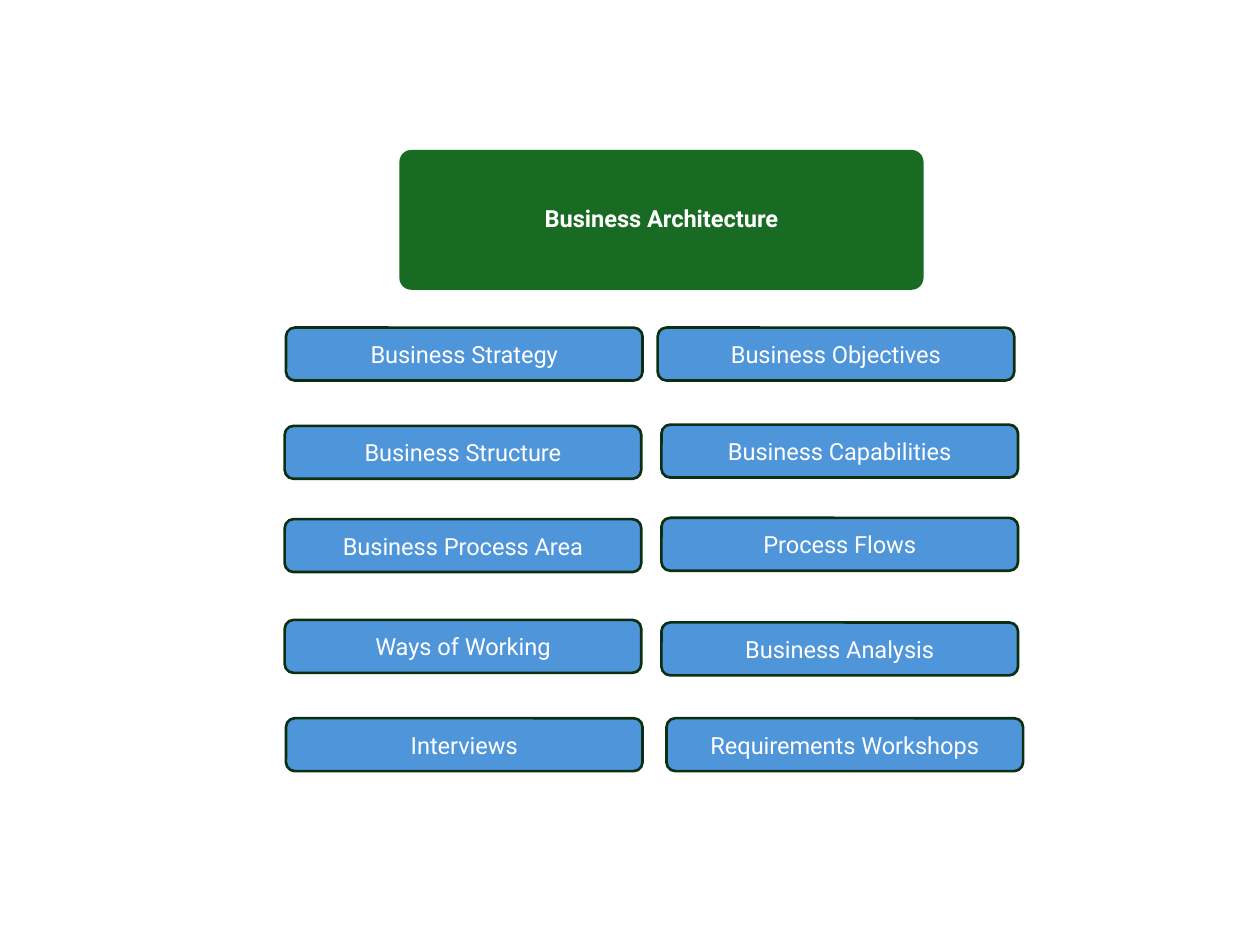
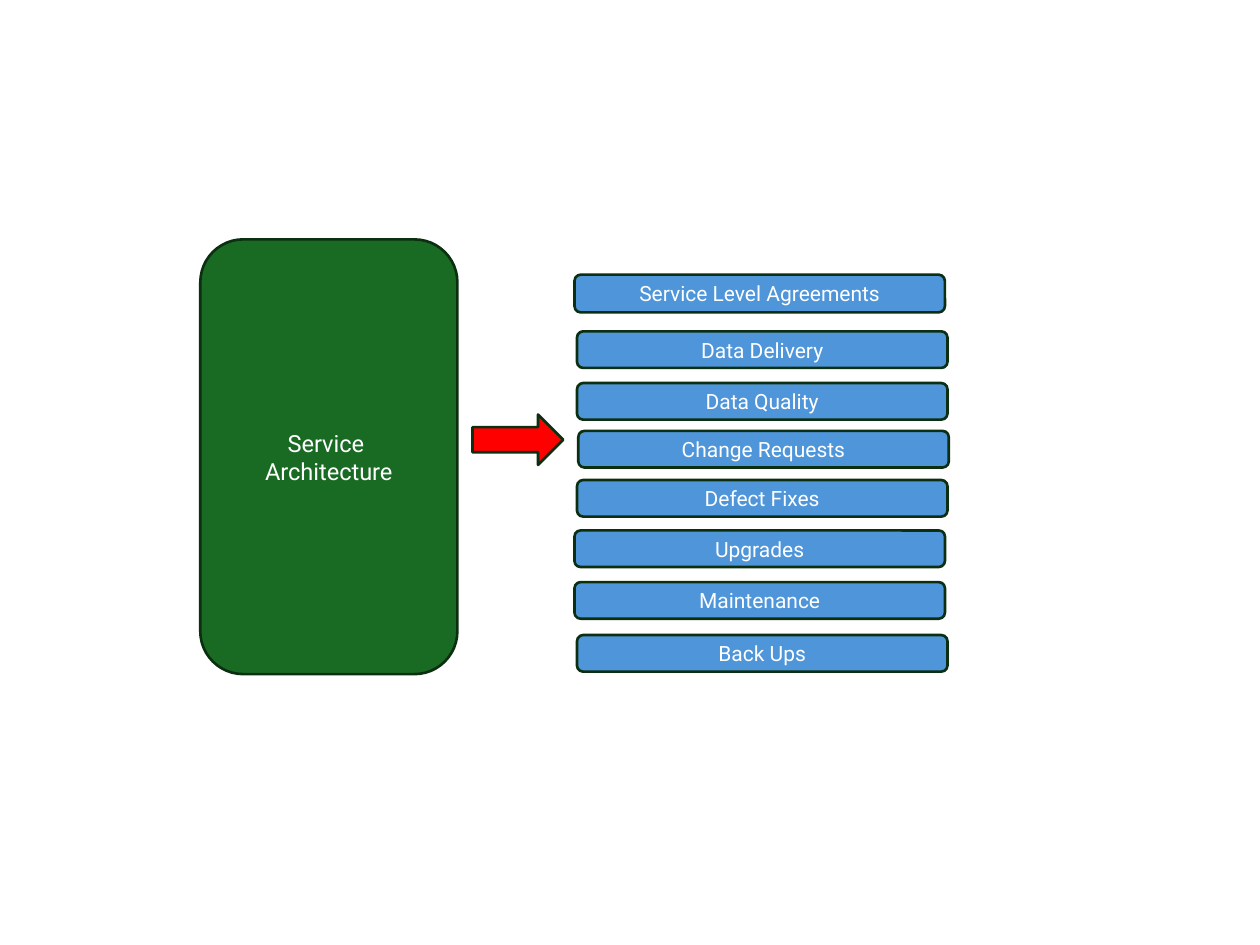
from pptx import Presentation
from pptx.dml.color import RGBColor
from pptx.enum.shapes import MSO_SHAPE
from pptx.enum.text import MSO_ANCHOR, PP_ALIGN
from pptx.util import Emu, Pt

# Shared style
EMU_PER_PX = 9144  # 100 px to the inch
FONT = "Roboto"
GREEN, BLUE, RED = "196B24", "4E95D9", "FF0000"
OUTLINE, WHITE = "0B2F10", "FFFFFF"


def px(length):
    return Emu(length * EMU_PER_PX)


def color(hex_code):
    return RGBColor.from_string(hex_code)


class Deck:
    """Holds the presentation, its style and the current slide."""

    def __init__(self, width, height):
        self.presentation = Presentation()
        self.presentation.slide_width = px(width)
        self.presentation.slide_height = px(height)
        self.page = None

    def add_page(self):
        blank = self.presentation.slide_layouts[6]
        self.page = self.presentation.slides.add_slide(blank)

    def shape(self, kind, left, top, width, height, fill, outlined=True):
        shape = self.page.shapes.add_shape(
            kind, px(left), px(top), px(width), px(height))
        shape.shadow.inherit = False
        shape.fill.solid()
        shape.fill.fore_color.rgb = color(fill)
        if outlined:
            shape.line.color.rgb = color(OUTLINE)
            shape.line.width = Pt(1.5)
        else:
            shape.line.fill.background()
        return shape

    def box(self, lines, left, top, width, height, fill=BLUE, size=13.5,
            bold=False, outlined=True):
        box = self.shape(MSO_SHAPE.ROUNDED_RECTANGLE, left, top, width, height,
                         fill, outlined)
        frame = box.text_frame
        frame.word_wrap = True
        frame.vertical_anchor = MSO_ANCHOR.MIDDLE
        for index, line in enumerate(lines):
            para = frame.add_paragraph() if index else frame.paragraphs[0]
            para.alignment = PP_ALIGN.CENTER
            span = para.add_run()
            span.text = line
            span.font.name = FONT
            span.font.size = Pt(size)
            span.font.bold = bold
            span.font.color.rgb = color(WHITE)
        return box

    def arrow(self, left, top, width, height):
        self.shape(MSO_SHAPE.RIGHT_ARROW, left, top, width, height, RED)

    def save(self):
        self.presentation.save("out.pptx")


def business_architecture(deck):
    deck.add_page()

    # Heading
    heading = deck.box(["Business Architecture"], 317, 119, 416, 111,
                       fill=GREEN, bold=True, outlined=False)
    heading.adjustments[0] = 0.085
    heading.text_frame.margin_bottom = px(7)

    # Topics in two columns: label, left, top
    topics = [
        ("Business Strategy", 227, 260), ("Business Objectives", 522, 260),
        ("Business Structure", 226, 338), ("Business Capabilities", 525, 337),
        ("Business Process Area", 226, 412), ("Process Flows", 525, 411),
        ("Ways of Working", 226, 492), ("Business Analysis", 525, 494),
        ("Interviews", 227, 570), ("Requirements Workshops", 529, 570),
    ]
    for label, left, top in topics:
        deck.box([label], left, top, 283, 42)


def service_architecture(deck):
    deck.add_page()

    # Heading and arrow
    deck.box(["Service ", "Architecture"], 159, 190, 204, 345, fill=GREEN)
    deck.arrow(375, 329, 72, 40)

    # Services: label, left, top, height
    services = [
        ("Service Level Agreements", 456, 218, 30),
        ("Data Delivery", 458, 263, 29),
        ("Data Quality", 458, 304, 29),
        ("Change Requests", 459, 342, 29),
        ("Defect Fixes", 458, 381, 29),
        ("Upgrades", 456, 421, 29),
        ("Maintenance", 456, 462, 29),
        ("Back Ups", 458, 504, 29),
    ]
    for label, left, top, height in services:
        deck.box([label], left, top, 294, height, size=12)


def main():
    deck = Deck(1000, 750)
    business_architecture(deck)
    service_architecture(deck)
    deck.save()


if __name__ == "__main__":
    main()
